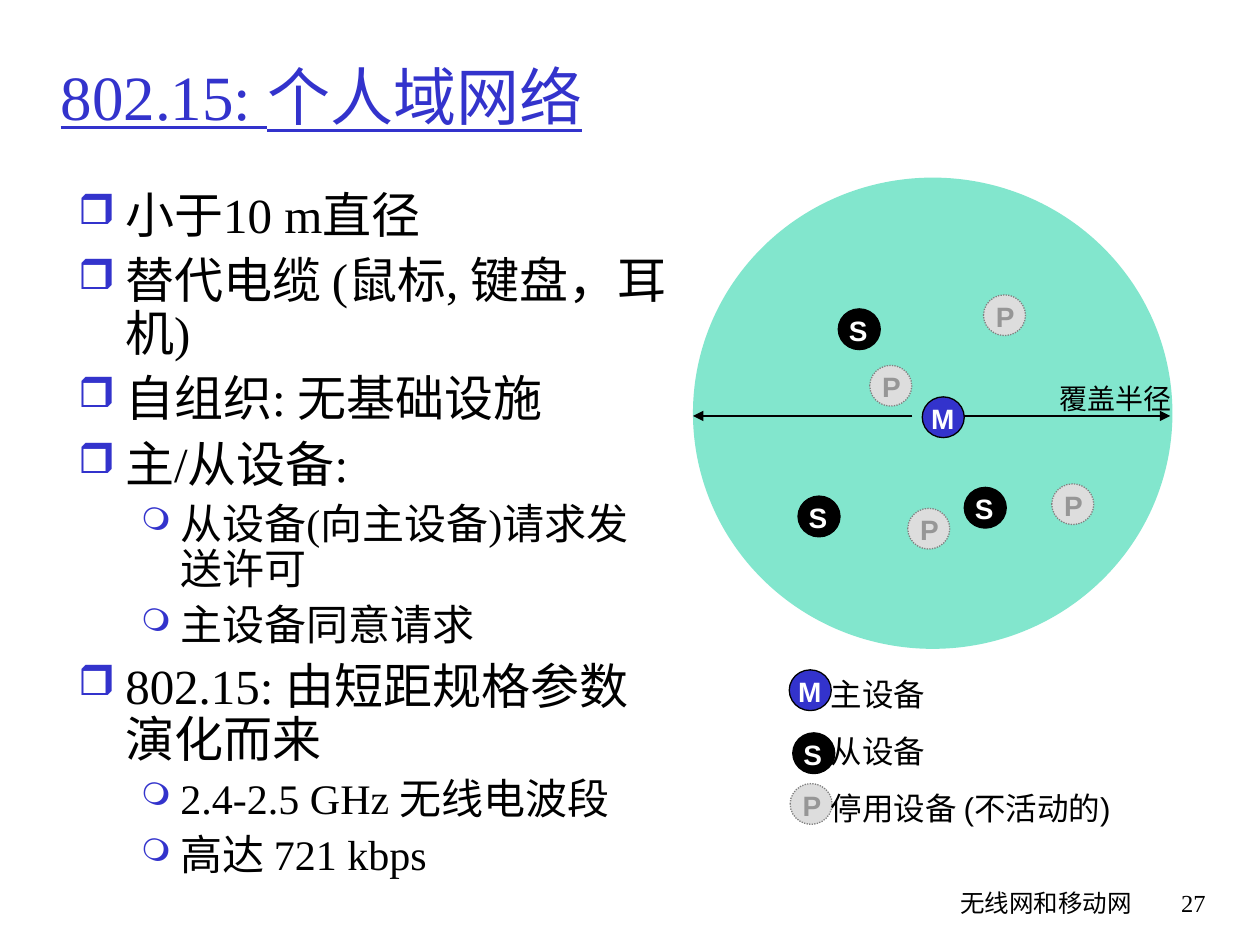
from lxml import etree
from pptx import Presentation
from pptx.dml.color import RGBColor
from pptx.enum.dml import MSO_LINE
from pptx.enum.shapes import MSO_CONNECTOR, MSO_SHAPE
from pptx.enum.text import MSO_ANCHOR, PP_ALIGN
from pptx.oxml.ns import qn
from pptx.util import Pt

OVAL = MSO_SHAPE.OVAL
STRAIGHT = MSO_CONNECTOR.STRAIGHT
DOTTED = MSO_LINE.ROUND_DOT
LEFT, RIGHT = PP_ALIGN.LEFT, PP_ALIGN.RIGHT
MIDDLE = MSO_ANCHOR.MIDDLE
TITLE_ONLY = 5

BLUE, BLACK, WHITE = "3333CC", "000000", "FFFFFF"
SERIF, SANS, COMIC = "Times New Roman", "Arial", "Comic Neue"
DISC_WIDTH, DISC_HEIGHT = 24, 23.3

DEVICES = {
    "M": dict(fill=BLUE, line=BLACK, font=WHITE, dotted=False, shift=(-2, -1)),
    "S": dict(fill=BLACK, line=BLACK, font=WHITE, dotted=False, shift=(-1, -1)),
    "P": dict(fill="DDDDDD", line="808080", font="969696", dotted=True, shift=(0, -1)),
}
LEVELS = [
    dict(size=28, indent=27, hanging=27, before=7, bullet="❒", scale=85),
    dict(size=24, indent=58.5, hanging=22.5, before=6, bullet="❍", scale=75),
]
POINTS = [
    (0, "小于10 m直径"),
    (0, "替代电缆 (鼠标, 键盘，耳机)"),
    (0, "自组织: 无基础设施"),
    (0, "主/从设备:"),
    (1, "从设备(向主设备)请求发送许可"),
    (1, "主设备同意请求"),
    (0, "802.15: 由短距规格参数演化而来"),
    (1, "2.4-2.5 GHz 无线电波段"),
    (1, "高达 721 kbps"),
]
PICONET = [
    ("M", 131, 125.3), ("S", 83, 75), ("S", 155, 177), ("S", 60, 182),
    ("P", 166, 67), ("P", 122.7, 189), ("P", 101, 107.3), ("P", 205, 175),
]
LEGEND = [
    ("M", 0, 11.3, "主设备"),
    ("S", 2, 47.3, "从设备"),
    ("P", 0.5, 76.3, "停用设备 (不活动的)"),
]


def color(value):
    """Turn a hex string into a colour."""
    return RGBColor.from_string(value)


def add_span(para, text, size, font, fill, bold=False, underline=False):
    """Add one formatted run to a paragraph."""
    span = para.add_run()
    span.text = text
    span.font.size = Pt(size)
    span.font.name = font
    span.font.bold = bold
    span.font.underline = underline
    span.font.color.rgb = color(fill)


def add_box(page, left, top, width, height, wrap=True):
    """Add an empty text box and return its text frame."""
    box = page.shapes.add_textbox(Pt(left), Pt(top), Pt(width), Pt(height))
    box.text_frame.word_wrap = wrap
    return box.text_frame


def add_label(page, area, text, size, font, fill=BLACK, align=LEFT, bold=False, wrap=True):
    """Add a one-line text box."""
    para = add_box(page, *area, wrap=wrap).paragraphs[0]
    para.alignment = align
    add_span(para, text, size, font, fill, bold)


def add_oval(page, left, top, width, height, fill):
    """Add a filled oval without a shadow."""
    oval = page.shapes.add_shape(OVAL, Pt(left), Pt(top), Pt(width), Pt(height))
    oval.shadow.inherit = False
    oval.fill.solid()
    oval.fill.fore_color.rgb = color(fill)
    return oval


def add_device(page, letter, left, top):
    """Draw a lettered disc for one device."""
    style = DEVICES[letter]
    disc = add_oval(page, left, top, DISC_WIDTH, DISC_HEIGHT, style["fill"])
    disc.line.color.rgb = color(style["line"])
    disc.line.width = Pt(0.75)
    if style["dotted"]:
        disc.line.dash_style = DOTTED
    across, down = style["shift"]
    area = left + across, top + down, DISC_WIDTH, 26.5
    add_label(page, area, letter, 16, SANS, style["font"], bold=True)


def add_arrow(page, start, end, level):
    """Draw a horizontal arrow."""
    arrow = page.shapes.add_connector(STRAIGHT, Pt(start), Pt(level), Pt(end), Pt(level))
    arrow.line.color.rgb = color(BLACK)
    arrow.line.width = Pt(0.75)
    etree.SubElement(arrow.line._get_or_add_ln(), qn("a:tailEnd"), type="triangle")
    etree.SubElement(arrow._element.spPr, qn("a:effectLst"))


def add_bullet(para, style):
    """Give a paragraph its indent and coloured bullet."""
    props = para._p.get_or_add_pPr()
    props.set("marL", str(Pt(style["indent"])))
    props.set("indent", str(-Pt(style["hanging"])))
    tint = etree.SubElement(props, qn("a:buClr"))
    etree.SubElement(tint, qn("a:srgbClr"), val=BLUE)
    etree.SubElement(props, qn("a:buSzPct"), val=str(style["scale"] * 1000))
    etree.SubElement(props, qn("a:buChar"), char=style["bullet"])


def place_title(page, left, top, width, height):
    """Move and fill the title placeholder."""
    title = page.shapes.title
    title.left, title.top, title.width, title.height = map(Pt, (left, top, width, height))
    title.text_frame.vertical_anchor = MIDDLE
    para = title.text_frame.paragraphs[0]
    para.alignment = LEFT
    add_span(para, "802.15: 个人域网络", 36, SERIF, BLUE, underline=True)


def place_points(page, left, top, width, height):
    """Write the two-level bullet list."""
    frame = add_box(page, left, top, width, height)
    for number, (level, text) in enumerate(POINTS):
        style = LEVELS[level]
        para = frame.add_paragraph() if number else frame.paragraphs[0]
        add_bullet(para, style)
        para.level = level
        para.line_spacing = 0.9
        para.space_before = Pt(style["before"] if number else 0)
        add_span(para, text, style["size"], SERIF, BLACK)


def place_piconet(page, left, top, width, height):
    """Draw the coverage circle with its radius and devices."""
    area = add_oval(page, left, top, width, height, "00CC99")
    area.line.fill.background()
    tint = area._element.spPr.find(qn("a:solidFill"))[0]
    etree.SubElement(tint, qn("a:alpha"), val="49000")
    middle = top + 136.2
    add_arrow(page, left + 153.3, left + width - 1.3, middle)
    add_arrow(page, left + 125.3, left, middle)
    add_label(page, (left + 202.3, top + 113, 78, 26.5), "覆盖半径", 16, SANS, wrap=False)
    for letter, across, down in PICONET:
        add_device(page, letter, left + across, top + down)


def place_legend(page, left, top, width, height):
    """Explain the three kinds of device."""
    for letter, across, down, _ in LEGEND:
        add_device(page, letter, left + across, top + down)
    frame = add_box(page, left + 16.5, top, width - 16.5, height, wrap=False)
    for number, (_, _, _, text) in enumerate(LEGEND):
        para = frame.add_paragraph() if number else frame.paragraphs[0]
        para.line_spacing = 1.5
        add_span(para, text, 18, SANS, BLACK)


def place_footer(page, left, top, width, height):
    """Write the chapter name and the page number."""
    add_label(page, (left, top, 304, height), "无线网和移动网", 14, COMIC, align=RIGHT)
    add_label(page, (left + width - 53, top, 53, height), "27", 14, SERIF, align=RIGHT)


def main():
    """Build the slide and save it."""
    deck = Presentation()
    deck.slide_width, deck.slide_height = Pt(720), Pt(540)
    page = deck.slides.add_slide(deck.slide_layouts[TITLE_ONLY])
    place_footer(page, 350, 504, 346, 36)
    place_piconet(page, 396, 101.5, 274, 269.3)
    place_legend(page, 451, 371.5, 203.5, 104.5)
    place_title(page, 27.4, 21.6, 612, 66)
    place_points(page, 37.5, 105.8, 351.4, 408.2)
    deck.save("out.pptx")


if __name__ == "__main__":
    main()
